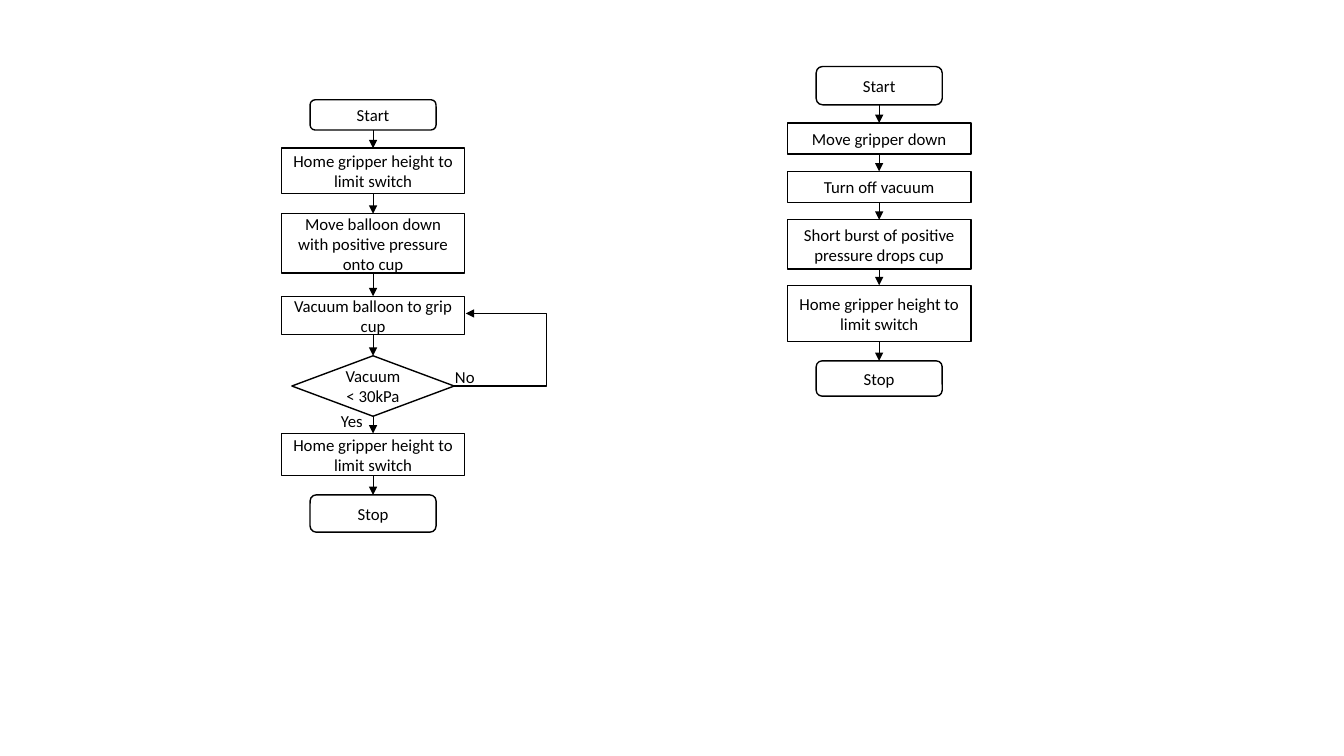
from dataclasses import dataclass

from lxml import etree
from pptx import Presentation
from pptx.dml.color import RGBColor
from pptx.enum.shapes import MSO_CONNECTOR, MSO_SHAPE
from pptx.enum.text import MSO_ANCHOR, PP_ALIGN
from pptx.oxml.ns import qn
from pptx.util import Inches, Pt

STRAIGHT = MSO_CONNECTOR.STRAIGHT
TERMINAL = MSO_SHAPE.ROUNDED_RECTANGLE
PROCESS = MSO_SHAPE.RECTANGLE
DECISION = MSO_SHAPE.DIAMOND
MIDDLE = MSO_ANCHOR.MIDDLE
CENTER = PP_ALIGN.CENTER
TOP_SITE, BOTTOM_SITE = 0, 2


@dataclass(frozen=True)
class Theme:
    ink: RGBColor = RGBColor(0, 0, 0)
    font: str = "Calibri"
    text_size: float = 12
    outline: float = 1
    arrow: float = 0.5


THEME = Theme()
STEP_WIDTHS = {TERMINAL: 1.25, PROCESS: 1.82, DECISION: 1.61}

# Each step: kind, top, height, wording
GRIP_CENTER = 3.7
GRIP_STEPS = [
    (TERMINAL, 0.99, 0.3, "Start"),
    (PROCESS, 1.47, 0.45, "Home gripper height to limit switch"),
    (PROCESS, 2.12, 0.59, "Move balloon down with positive pressure onto cup"),
    (PROCESS, 2.94, 0.38, "Vacuum balloon to grip cup"),
    (DECISION, 3.53, 0.6, "Vacuum < 30kPa"),
    (PROCESS, 4.3, 0.42, "Home gripper height to limit switch"),
    (TERMINAL, 4.91, 0.37, "Stop"),
]
RELEASE_CENTER = 8.72
RELEASE_STEPS = [
    (TERMINAL, 0.66, 0.38, "Start"),
    (PROCESS, 1.22, 0.31, "Move gripper down"),
    (PROCESS, 1.7, 0.31, "Turn off vacuum"),
    (PROCESS, 2.18, 0.49, "Short burst of positive pressure drops cup"),
    (PROCESS, 2.83, 0.56, "Home gripper height to limit switch"),
    (TERMINAL, 3.58, 0.35, "Stop"),
]
RETRY_ROUTE = [(4.5, 3.83), (5.42, 3.83), (5.42, 3.11), (4.62, 3.11)]
BRANCH_LABELS = [("Yes", 3.1, 4.0), ("No", 4.22, 3.56)]


def write_text(box, wording):
    frame = box.text_frame
    frame.word_wrap = True
    frame.vertical_anchor = MIDDLE
    para = frame.paragraphs[0]
    para.alignment = CENTER
    span = para.add_run()
    span.text = wording
    span.font.name = THEME.font
    span.font.size = Pt(THEME.text_size)
    span.font.color.rgb = THEME.ink


def style_line(line, width):
    line.color.rgb = THEME.ink
    line.width = Pt(width)


def add_arrowhead(shape):
    outline = shape.element.spPr.find(qn("a:ln"))
    etree.SubElement(outline, qn("a:tailEnd"), type="triangle")


def add_step(page, center, kind, top, height, wording):
    width = STEP_WIDTHS[kind]
    step = page.shapes.add_shape(kind, Inches(center - width / 2), Inches(top),
                                 Inches(width), Inches(height))
    step.shadow.inherit = False
    step.fill.background()
    style_line(step.line, THEME.outline)
    write_text(step, wording)
    return step


def add_arrow(page, upper, lower):
    arrow = page.shapes.add_connector(STRAIGHT, 0, 0, 0, 0)
    arrow.begin_connect(upper, BOTTOM_SITE)
    arrow.end_connect(lower, TOP_SITE)
    style_line(arrow.line, THEME.arrow)
    add_arrowhead(arrow)
    etree.SubElement(arrow.element.spPr, qn("a:effectLst"))


def add_flow(page, center, steps):
    boxes = [add_step(page, center, *step) for step in steps]
    for upper, lower in zip(boxes, boxes[1:]):
        add_arrow(page, upper, lower)


def add_route(page, points):
    corners = [(Inches(x), Inches(y)) for x, y in points]
    builder = page.shapes.build_freeform(*corners[0])
    builder.add_line_segments(corners[1:], close=False)
    route = builder.convert_to_shape()
    route.shadow.inherit = False
    route.fill.background()
    style_line(route.line, THEME.outline)
    add_arrowhead(route)


def add_label(page, wording, left, top):
    label = page.shapes.add_textbox(Inches(left), Inches(top),
                                    Inches(0.78), Inches(0.35))
    write_text(label, wording)


def main():
    deck = Presentation()
    deck.slide_width = Inches(13.33)
    deck.slide_height = Inches(7.5)
    page = deck.slides.add_slide(deck.slide_layouts[6])

    # Gripping sequence with its retry loop
    add_flow(page, GRIP_CENTER, GRIP_STEPS)
    add_route(page, RETRY_ROUTE)
    for label in BRANCH_LABELS:
        add_label(page, *label)

    # Release sequence
    add_flow(page, RELEASE_CENTER, RELEASE_STEPS)

    deck.save("out.pptx")


if __name__ == "__main__":
    main()
